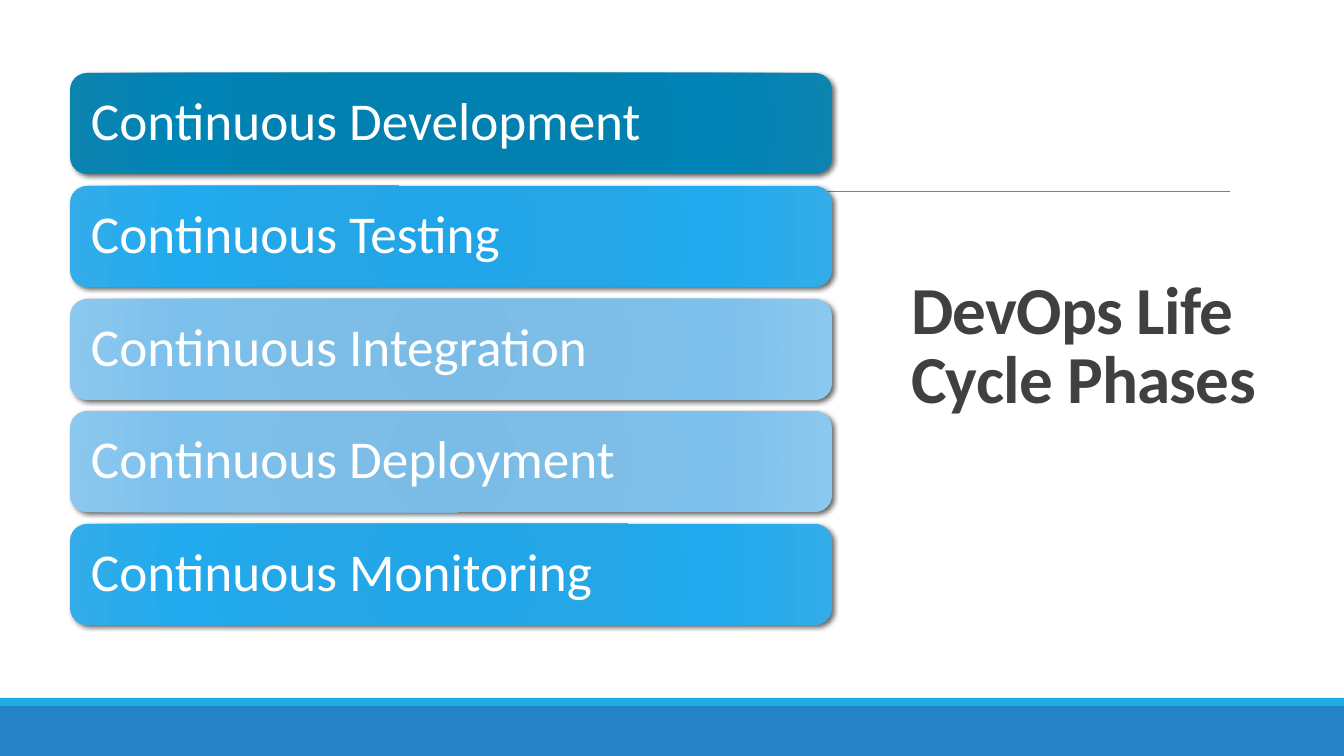
import pptx
import pptx.util
import pptx.oxml
import pptx.oxml.ns
from pptx.dml.color import RGBColor
from pptx.enum.shapes import MSO_CONNECTOR, MSO_SHAPE
from pptx.enum.text import MSO_ANCHOR, PP_ALIGN

WHITE = RGBColor(0xFF, 0xFF, 0xFF)
DARK_GRAY = RGBColor(0x40, 0x40, 0x40)
RULE_GRAY = RGBColor(0x80, 0x80, 0x80)
FOOTER_BLUE = RGBColor(0x26, 0x83, 0xC6)
STRIPE_BLUE = RGBColor(0x1C, 0xAD, 0xE4)
DEEP = [RGBColor.from_string(code) for code in ("0080B0", "0280B0", "0083B5", "0D83B0")]
BRIGHT = [RGBColor.from_string(code) for code in ("20A5E8", "25A6E6", "21AAEE", "33ACE9")]
PALE = [RGBColor.from_string(code) for code in ("7ABCE6", "7EBDE6", "7DC0EC", "8CC8EE")]
STOPS = (0, 34, 70, 100)
PHASES = [
    ("Continuous Development", DEEP),
    ("Continuous Testing", BRIGHT),
    ("Continuous Integration", PALE),
    ("Continuous Deployment", PALE),
    ("Continuous Monitoring", BRIGHT),
]
NAMESPACE = pptx.oxml.ns.nsdecls("a")


def px(length):
    return pptx.util.Emu(round(length * 914400 / 100.8))


def style_bar(bar, colors):
    stops = "".join(
        f'<a:gs pos="{stop * 1000}"><a:srgbClr val="{color}"/></a:gs>'
        for stop, color in zip(STOPS, colors)
    )
    gradient = pptx.oxml.parse_xml(
        f'<a:gradFill {NAMESPACE} rotWithShape="1"><a:gsLst>{stops}</a:gsLst>'
        '<a:path path="circle"><a:fillToRect l="100000" t="100000" '
        'r="100000" b="100000"/></a:path></a:gradFill>'
    )
    shadow = pptx.oxml.parse_xml(
        f'<a:effectLst {NAMESPACE}><a:outerShdw blurRad="44450" dist="25400" '
        'dir="2700000" algn="br" rotWithShape="0"><a:srgbClr val="000000">'
        '<a:alpha val="60000"/></a:srgbClr></a:outerShdw></a:effectLst>'
    )
    bar.line.fill.background()
    properties = bar.element.spPr
    properties.find(pptx.oxml.ns.qn("a:prstGeom")).addnext(gradient)
    properties.append(shadow)


deck = pptx.Presentation()
deck.slide_width, deck.slide_height = px(1344), px(756)
page = deck.slides.add_slide(deck.slide_layouts[5])

for top, height, color in ((706, 50, FOOTER_BLUE), (698, 8, STRIPE_BLUE)):
    band = page.shapes.add_shape(MSO_SHAPE.RECTANGLE, 0, px(top), px(1344), px(height))
    band.shadow.inherit = False
    band.fill.solid()
    band.fill.fore_color.rgb = color
    band.line.fill.background()

rule = page.shapes.add_connector(MSO_CONNECTOR.STRAIGHT, px(132), px(191), px(1230), px(191))
rule.line.color.rgb = RULE_GRAY
rule.line.width = pptx.util.Pt(0.5)
rule.element.spPr.append(pptx.oxml.parse_xml(f"<a:effectLst {NAMESPACE}/>"))

title = page.shapes.title
title.left, title.top, title.width, title.height = px(901), px(70), px(372), px(557)
title.text_frame.text = "DevOps Life Cycle Phases"
title.text_frame.word_wrap = True
title.text_frame.vertical_anchor = MSO_ANCHOR.MIDDLE
para = title.text_frame.paragraphs[0]
para.alignment = PP_ALIGN.LEFT
para.line_spacing = 0.85
para.font.name = "Calibri"
para.font.size = pptx.util.Pt(48)
para.font.bold = True
para.font.color.rgb = DARK_GRAY
para.runs[0].font.element.set("spc", "-50") if hasattr(para.runs[0].font, "element") else para.runs[0]._r.get_or_add_rPr().set("spc", "-50")

for row, (phase, colors) in enumerate(PHASES):
    top = 73 + round(row * 451 / 4)
    bar = page.shapes.add_shape(
        MSO_SHAPE.ROUNDED_RECTANGLE, px(70), px(top), px(762), px(101)
    )
    style_bar(bar, colors)
    frame = bar.text_frame
    frame.word_wrap = True
    frame.vertical_anchor = MSO_ANCHOR.MIDDLE
    frame.margin_left = frame.margin_right = px(16)
    frame.margin_top = frame.margin_bottom = px(16)
    frame.text = phase
    para = frame.paragraphs[0]
    para.alignment = PP_ALIGN.LEFT
    para.line_spacing = 0.9
    para.font.name = "Calibri"
    para.font.size = pptx.util.Pt(38)
    para.font.color.rgb = WHITE

deck.save("out.pptx")
